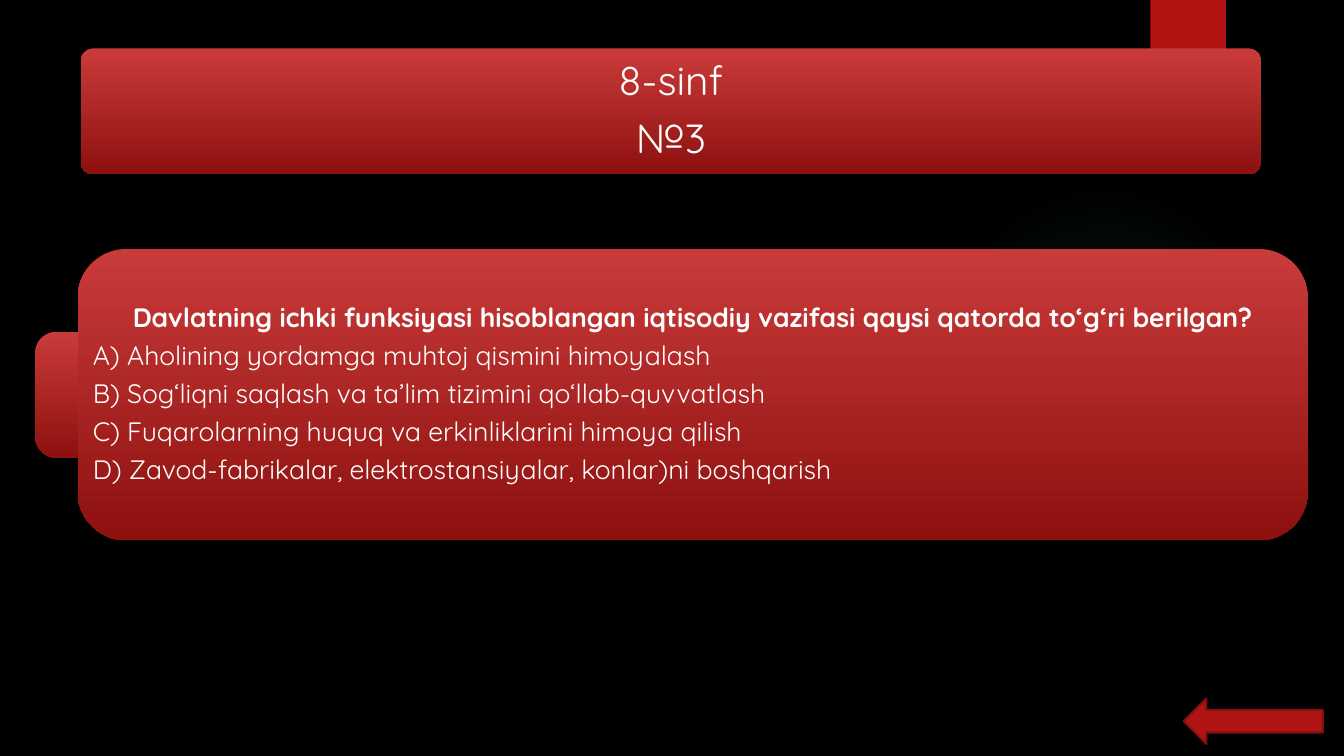
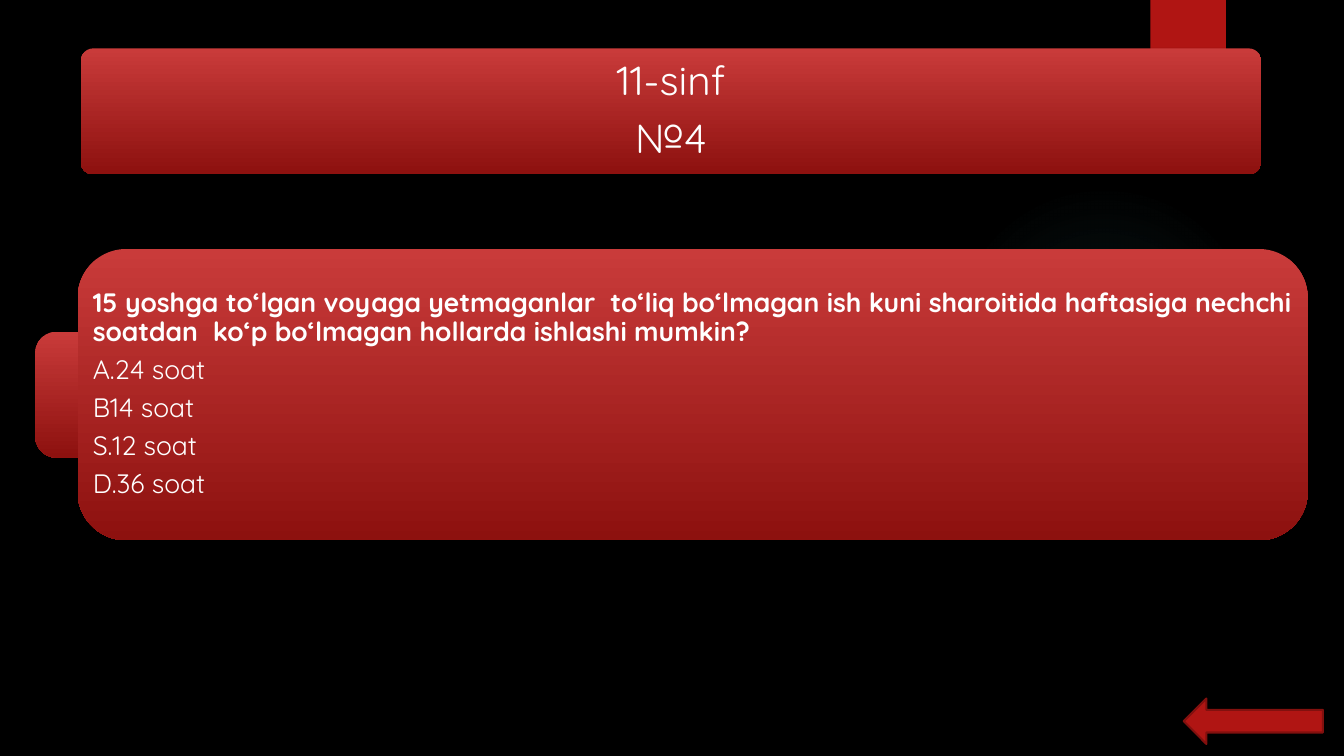
import pptx
import pptx.util
import pptx.dml.color
import pptx.enum.shapes
import pptx.enum.text
import lxml.etree

Inches = pptx.util.Inches
Pt = pptx.util.Pt
SHAPE = pptx.enum.shapes.MSO_SHAPE
ALIGN = pptx.enum.text.PP_ALIGN
FONT = "Quicksand"
COLORS = {
    "ground": "000000",
    "accent": "B01513",
    "outline": "82100E",
    "panel_top": "C93B3A",
    "panel_bottom": "8D110F",
    "glow": "50B9C1",
    "text": "FFFFFF",
}
NAMESPACE = "http://schemas.openxmlformats.org/drawingml/2006/main"

TITLE_BOX = (0.8, 0.48, 11.71, 1.25)
QUESTION_BOX = (0.77, 2.47, 12.2, 2.89)
QUIZ = [
    {
        "title": ["8-sinf", "№3"],
        "question": "Davlatning ichki funksiyasi hisoblangan iqtisodiy vazifasi "
                    "qaysi qatorda to‘g‘ri berilgan?",
        "align": ALIGN.CENTER,
        "answers": [
            "A) Aholining yordamga muhtoj qismini himoyalash",
            "B) Sog‘liqni saqlash va ta’lim tizimini qo‘llab-quvvatlash",
            "C) Fuqarolarning huquq va erkinliklarini himoya qilish",
            "D) Zavod-fabrikalar, elektrostansiyalar, konlar)ni boshqarish",
        ],
    },
    {
        "title": ["11-sinf", "№4"],
        "question": "15 yoshga to‘lgan voyaga yetmaganlar  to‘liq bo‘lmagan ish kuni "
                    "sharoitida haftasiga nechchi soatdan  ko‘p bo‘lmagan hollarda "
                    "ishlashi mumkin?",
        "align": ALIGN.LEFT,
        "answers": ["A.24 soat", "B14 soat", "S.12 soat", "D.36 soat"],
    },
]


def color(name):
    return pptx.dml.color.RGBColor.from_string(COLORS[name])


def xml(text):
    return lxml.etree.fromstring(f'<a:root xmlns:a="{NAMESPACE}">{text}</a:root>')[0]


def add_shape(page, kind, box, fill=None, shadow=False, corner=None):
    shape = page.shapes.add_shape(kind, *map(Inches, box))
    shape.shadow.inherit = False
    shape.line.fill.background()
    if fill:
        shape.fill.solid()
        shape.fill.fore_color.rgb = color(fill)
    if corner is not None:
        shape.adjustments[0] = corner
    if shadow:
        effects = shape.element.spPr.find(f"{{{NAMESPACE}}}effectLst")
        effects.append(xml(
            f'<a:outerShdw blurRad="{Pt(3)}" dist="{Pt(2)}" dir="5400000" rotWithShape="0">'
            f'<a:srgbClr val="{COLORS["ground"]}"><a:alpha val="45000"/></a:srgbClr>'
            '</a:outerShdw>'))
    return shape


def add_panel(page, box, shadow=False, corner=0.167):
    panel = add_shape(page, SHAPE.ROUNDED_RECTANGLE, box, shadow=shadow, corner=corner)
    panel.fill.gradient()
    panel.fill.gradient_angle = 270
    for stop, name in zip(panel.fill.gradient_stops, ("panel_top", "panel_bottom")):
        stop.color.rgb = color(name)
    return panel


def add_glow(page, box):
    glow = add_shape(page, SHAPE.OVAL, box)
    stops = "".join(
        f'<a:gs pos="{place}000"><a:srgbClr val="{COLORS["glow"]}">'
        f'<a:alpha val="{alpha}000"/></a:srgbClr></a:gs>'
        for place, alpha in ((0, 7), (36, 6), (69, 0)))
    glow.element.spPr.find(f"{{{NAMESPACE}}}prstGeom").addnext(xml(
        f'<a:gradFill><a:gsLst>{stops}</a:gsLst><a:path path="circle">'
        '<a:fillToRect l="50000" t="50000" r="50000" b="50000"/></a:path></a:gradFill>'))
    return glow


def write(para, text, size, bold=False, align=ALIGN.LEFT):
    para.alignment = align
    para.line_spacing = 0.9
    para.space_before = Pt(0)
    para.space_after = Pt(0)
    properties = para._p.get_or_add_pPr()
    properties.set("marL", "0")
    properties.set("indent", "0")
    after = properties.find(f"{{{NAMESPACE}}}spcAft")
    after.replace(after[0], xml('<a:spcPct val="35000"/>'))
    properties.append(xml("<a:buNone/>"))
    span = para.add_run()
    span.text = text
    span.font.name = FONT
    span.font.size = Pt(size)
    span.font.bold = bold
    span.font.color.rgb = color("text")


def place_text(page, holder, box, lines, inset):
    holder.left, holder.top, holder.width, holder.height = map(Inches, box)
    page.shapes.element.append(holder.element)
    frame = holder.text_frame
    frame.word_wrap = True
    frame.auto_size = pptx.enum.text.MSO_AUTO_SIZE.NONE
    frame.vertical_anchor = pptx.enum.text.MSO_ANCHOR.MIDDLE
    frame.margin_left = frame.margin_right = Inches(inset[0])
    frame.margin_top = frame.margin_bottom = Inches(inset[1])
    for index, (text, style) in enumerate(lines):
        para = frame.add_paragraph() if index else frame.paragraphs[0]
        write(para, text, **style)


def add_title(page, box, lines):
    add_panel(page, box, shadow=True, corner=0.1)
    style = {"size": 29, "align": ALIGN.CENTER}
    place_text(page, page.shapes.title, box, [(line, style) for line in lines], (0.06, 0.04))


def add_question(page, box, quiz):
    left, top, width, height = box
    tab = 1.25
    add_panel(page, (left - 0.42, top + (height - tab) / 2, tab, tab), shadow=True)
    add_panel(page, box)
    lines = [(quiz["question"], {"size": 19, "bold": True, "align": quiz["align"]})]
    lines += [(answer, {"size": 19}) for answer in quiz["answers"]]
    place_text(page, page.placeholders[1], box, lines, (0.15, 0.15))


def add_back_arrow(page, box):
    arrow = add_shape(page, SHAPE.LEFT_ARROW, box, fill="accent")
    arrow.line.color.rgb = color("outline")
    arrow.line.width = Pt(1.5)


def add_backdrop(page):
    add_glow(page, (9.41, 1.83, 3.08, 3.08))
    add_shape(page, SHAPE.RECTANGLE, (11.41, 0, 0.75, 1.25), fill="accent", shadow=True)


def add_quiz_page(deck, quiz):
    page = deck.slides.add_slide(deck.slide_layouts[1])
    add_backdrop(page)
    add_back_arrow(page, (11.74, 6.93, 1.38, 0.45))
    add_title(page, TITLE_BOX, quiz["title"])
    add_question(page, QUESTION_BOX, quiz)


def main():
    deck = pptx.Presentation()
    deck.slide_width, deck.slide_height = Inches(13.33), Inches(7.5)
    ground = deck.slide_master.background.fill
    ground.solid()
    ground.fore_color.rgb = color("ground")
    for quiz in QUIZ:
        add_quiz_page(deck, quiz)
    deck.save("out.pptx")


if __name__ == "__main__":
    main()
